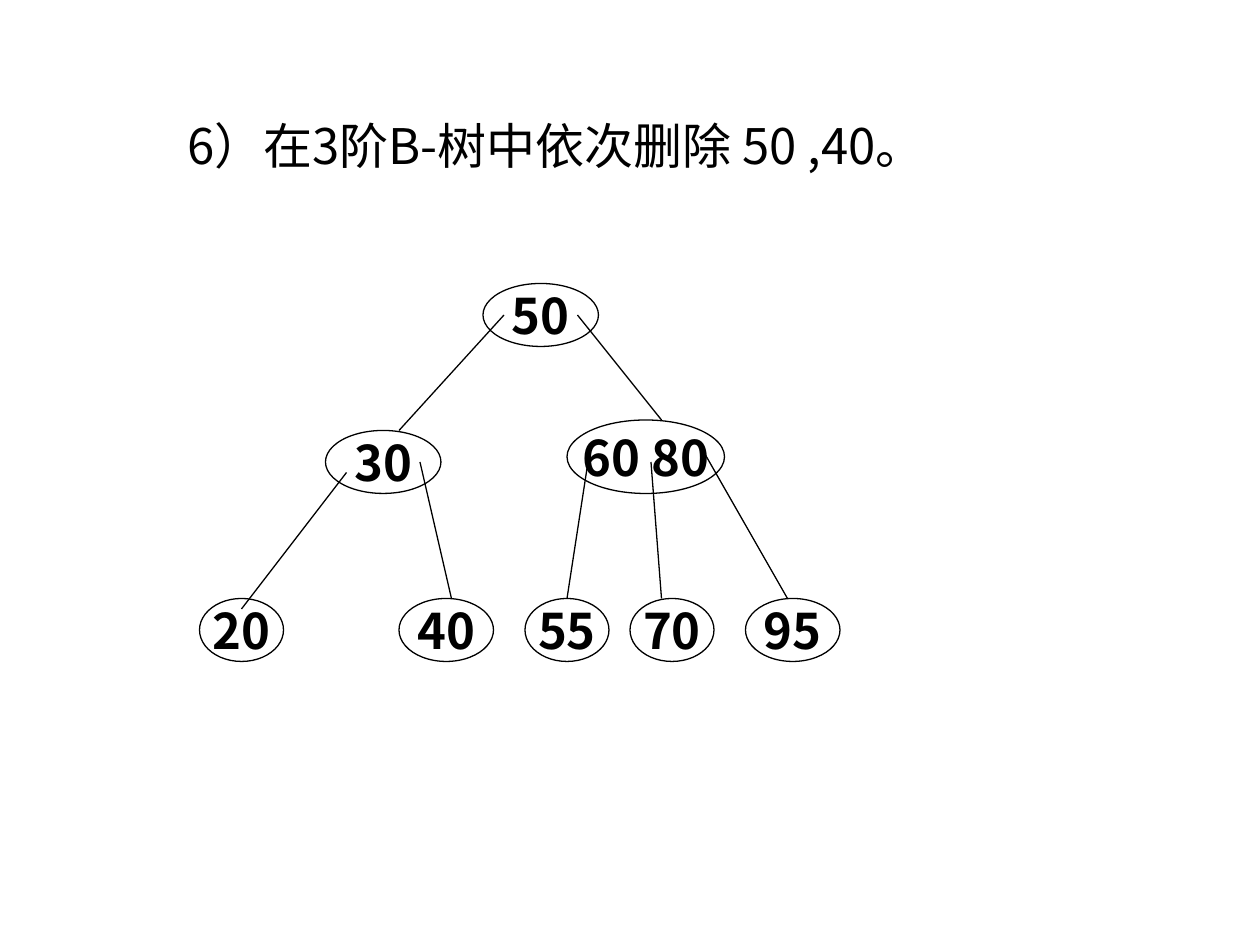
from dataclasses import dataclass

from lxml import etree
from pptx import Presentation
from pptx.dml.color import RGBColor
from pptx.enum.shapes import MSO_CONNECTOR, MSO_SHAPE
from pptx.enum.text import MSO_ANCHOR, PP_ALIGN
from pptx.oxml.ns import qn
from pptx.util import Inches, Pt

ELLIPSE, STRAIGHT = MSO_SHAPE.OVAL, MSO_CONNECTOR.STRAIGHT
LEFT, CENTER = PP_ALIGN.LEFT, PP_ALIGN.CENTER
TOP, MIDDLE = MSO_ANCHOR.TOP, MSO_ANCHOR.MIDDLE

HEADING = "6）在3阶B-树中依次删除 50 ,40。"
HEADING_BOX = (1.39, 0.87, 7.72, 0.57)

GRID_PER_INCH = 12
KEYS = [
    ("50", (46, 27, 11, 6)),
    ("30", (31, 41, 11, 6)),
    ("60 80", (54, 40, 15, 7)),
    ("20", (19, 57, 8, 6)),
    ("40", (38, 57, 9, 6)),
    ("55", (50, 57, 8, 6)),
    ("70", (60, 57, 8, 6)),
    ("95", (71, 57, 9, 6)),
]
BRANCHES = [
    (48, 30, 38, 41),
    (55, 30, 63, 40),
    (33, 45, 23, 58),
    (40, 44, 43, 57),
    (56, 44, 54, 57),
    (62, 44, 63, 57),
    (67, 43, 75, 57),
]


@dataclass(frozen=True)
class Theme:
    ink: RGBColor = RGBColor(0, 0, 0)
    font: str = "Noto Sans CJK SC"
    size: Pt = Pt(28)
    space_before: Pt = Pt(7)
    line: Pt = Pt(0.74)


THEME = Theme()


def grid(cells):
    return [Inches(cell / GRID_PER_INCH) for cell in cells]


def write(holder, text, *, bold=False, align=LEFT, anchor=TOP, wrap=True):
    frame = holder.text_frame
    frame.word_wrap = wrap
    frame.vertical_anchor = anchor
    paragraph = frame.paragraphs[0]
    paragraph.alignment = align
    paragraph.space_before = THEME.space_before
    run = paragraph.add_run()
    run.text = text
    run.font.name = THEME.font
    run.font.size = THEME.size
    run.font.bold = bold
    run.font.color.rgb = THEME.ink
    east_asian = etree.SubElement(run.font._element, qn("a:ea"))
    east_asian.set("typeface", THEME.font)


def outline(part):
    part.line.color.rgb = THEME.ink
    part.line.width = THEME.line


def add_node(tree, keys, cells):
    node = tree.shapes.add_shape(ELLIPSE, *grid(cells))
    node.shadow.inherit = False
    node.fill.background()
    outline(node)
    write(node, keys, bold=True, align=CENTER, anchor=MIDDLE, wrap=False)


def add_branch(tree, cells):
    branch = tree.shapes.add_connector(STRAIGHT, *grid(cells))
    outline(branch)
    etree.SubElement(branch._element.spPr, qn("a:effectLst"))


deck = Presentation()
deck.slide_width, deck.slide_height = Inches(10), Inches(7.5)
slide = deck.slides.add_slide(deck.slide_layouts[6])

heading = slide.shapes.add_textbox(*[Inches(value) for value in HEADING_BOX])
write(heading, HEADING)

tree = slide.shapes.add_group_shape()
for keys, cells in KEYS:
    add_node(tree, keys, cells)
for cells in BRANCHES:
    add_branch(tree, cells)

deck.save("out.pptx")
